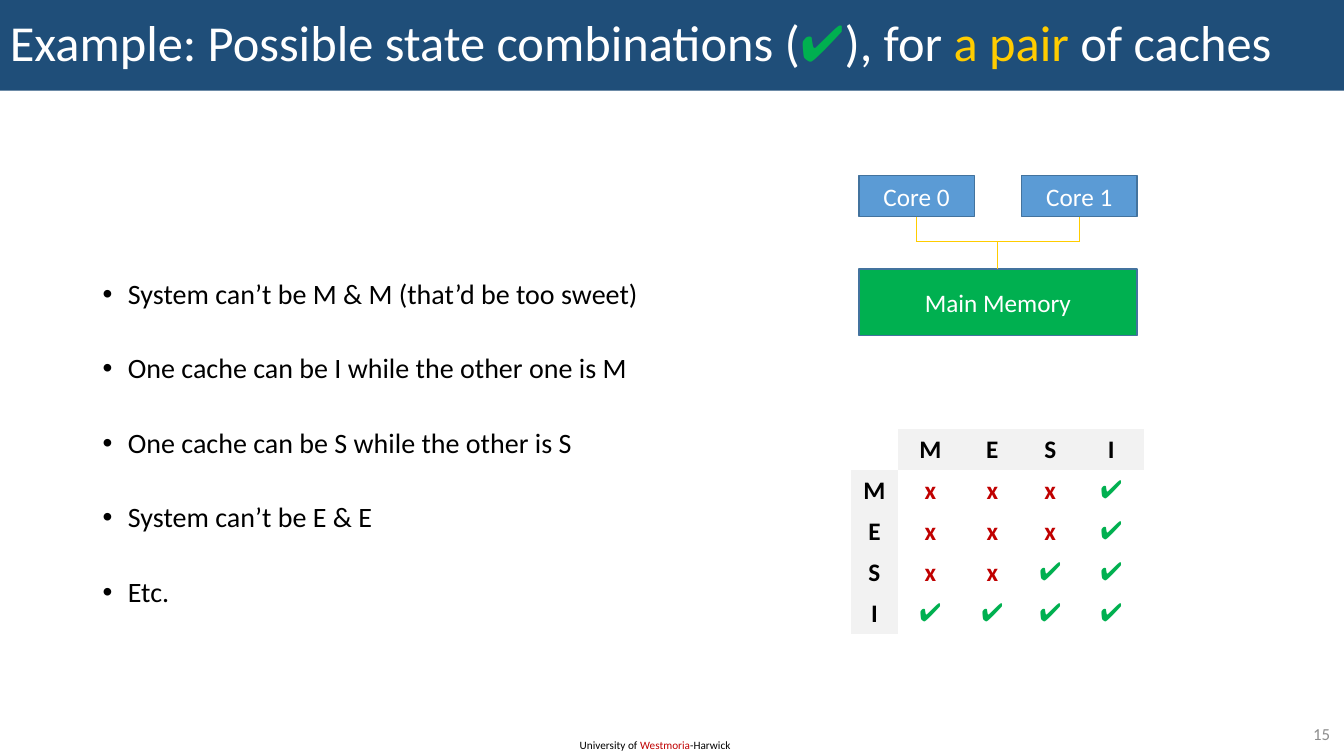
from pptx import Presentation
from pptx.dml.color import RGBColor
from pptx.enum.shapes import MSO_CONNECTOR, MSO_SHAPE
from pptx.enum.text import MSO_ANCHOR, PP_ALIGN
from pptx.oxml.ns import qn
from pptx.util import Inches, Pt
from lxml import etree

RECT = MSO_SHAPE.RECTANGLE
LINE = MSO_CONNECTOR.STRAIGHT
MID, TOP = MSO_ANCHOR.MIDDLE, MSO_ANCHOR.TOP
LEFT, MIDDLE, RIGHT = PP_ALIGN.LEFT, PP_ALIGN.CENTER, PP_ALIGN.RIGHT

NAVY = RGBColor(0x1F, 0x4E, 0x79)
BLUE = RGBColor(0x5B, 0x9B, 0xD5)
EDGE = RGBColor(0x43, 0x73, 0x9E)
GREEN = RGBColor(0x00, 0xB0, 0x50)
GOLD = RGBColor(0xFF, 0xCC, 0x00)
RED = RGBColor(0xC0, 0x00, 0x00)
GRAY = RGBColor(0x8C, 0x8C, 0x8C)
PALE = RGBColor(0xF2, 0xF2, 0xF2)
WHITE = RGBColor(0xFF, 0xFF, 0xFF)
BLACK = RGBColor(0x00, 0x00, 0x00)

WIDE, HIGH = Inches(13.33), Inches(7.5)
SANS, MARK = "Calibri", "Roboto"
PLAIN = "{2D5ABB26-0587-4C30-8999-92F81FD0307C}"  # table style without lines
TICK = "✔"
STATES = "MESI"
GRID = ["xxx✔", "xxx✔", "xx✔✔", "✔✔✔✔"]
COLS = [47, 64, 59, 56, 65]
POINTS = [
    "System can’t be M & M (that’d be too sweet)",
    "One cache can be I while the other one is M",
    "One cache can be S while the other is S",
    "System can’t be E & E",
    "Etc.",
]


def share(x, y, w, h):
    """Box from percentages of the slide."""
    return [int(part * whole / 100)
            for part, whole in zip((x, y, w, h), (WIDE, HIGH, WIDE, HIGH))]


def inner(box, x, y, w, h):
    """Box from fractions of another box."""
    left, top, wide, high = box
    return [int(n) for n in
            (left + x * wide, top + y * high, w * wide, h * high)]


def apply(item, **values):
    for name, value in values.items():
        setattr(item, name, value)


def write(par, runs, size, align=LEFT, bold=False):
    """Fill a paragraph with (text, colour) runs."""
    par.alignment = align
    for text, color in runs:
        run = par.add_run()
        run.text = text
        tick = text == TICK
        apply(run.font, size=Pt(size), name=MARK if tick else SANS,
              bold=bold and not tick)
        run.font.color.rgb = color


def label(slide, box, runs, size, align=LEFT, anchor=TOP):
    frame = slide.shapes.add_textbox(*box).text_frame
    apply(frame, word_wrap=True, vertical_anchor=anchor)
    write(frame.paragraphs[0], runs, size, align)


def block(slide, box, fill, runs, size, align=MIDDLE, edge=None):
    shape = slide.shapes.add_shape(RECT, *box)
    shape.shadow.inherit = False
    shape.fill.solid()
    shape.fill.fore_color.rgb = fill
    if edge is None:
        shape.line.fill.background()
    else:
        shape.line.color.rgb = edge
        shape.line.width = Pt(1)
    apply(shape.text_frame, word_wrap=True, vertical_anchor=MID)
    write(shape.text_frame.paragraphs[0], runs, size, align)
    return shape


def wire(slide, x1, y1, x2, y2):
    link = slide.shapes.add_connector(LINE, *map(int, (x1, y1, x2, y2)))
    link.line.color.rgb = GOLD
    link.line.width = Pt(0.75)
    etree.SubElement(link._element.spPr, qn("a:effectLst"))
    # Only the line format set here applies
    link._element.remove(link._element.find(qn("p:style")))
    return link


def title(slide, box):
    runs = [("Example: Possible state combinations (", WHITE), (TICK, GREEN),
            ("), for ", WHITE), ("a pair", GOLD), (" of caches", WHITE)]
    bar = block(slide, box, NAVY, runs, 36, LEFT)
    bar.text_frame.paragraphs[0].line_spacing = 0.9


def bullets(slide, box):
    frame = slide.shapes.add_textbox(*box).text_frame
    apply(frame, word_wrap=True, margin_top=Inches(0.82))
    for i, text in enumerate(POINTS):
        par = frame.add_paragraph() if i else frame.paragraphs[0]
        write(par, [(text, BLACK)], 20)
        apply(par, line_spacing=0.9, space_before=Pt(31.6 if i else 0))
        props = par._p.get_or_add_pPr()
        props.set("marL", str(Inches(0.75)))
        props.set("indent", str(-Inches(0.25)))
        etree.SubElement(props, qn("a:buFont"), typeface="Arial")
        etree.SubElement(props, qn("a:buChar"), char="•")


def diagram(slide, box):
    left, top, wide, high = box
    bus = top + 0.415 * high
    memory = block(slide, inner(box, 0, 0.585, 1, 0.415), GREEN,
                   [("Main Memory", WHITE)], 18, edge=EDGE)
    # Cores, each dropping to the bus
    ends = []
    for i in range(2):
        core = block(slide, inner(box, i * 0.585, 0, 0.415, 0.258), BLUE,
                     [(f"Core {i}", WHITE)], 18, edge=EDGE)
        x = core.left + core.width / 2
        wire(slide, x, top, x, bus).begin_connect(core, 2)
        ends.append(x)
    # Bus and its link to memory
    wire(slide, ends[0], bus, ends[1], bus)
    x = left + wide / 2
    wire(slide, x, bus, x, memory.top).end_connect(memory, 0)


def matrix(slide, box):
    count = len(STATES) + 1
    table = slide.shapes.add_table(count, count, *box).table
    apply(table, first_row=False, horz_banding=False)
    table._tbl.tblPr.find(qn("a:tableStyleId")).text = PLAIN
    for col, part in zip(table.columns, COLS):
        col.width = int(box[2] * part / sum(COLS))
    rows = [" " + STATES] + [s + row for s, row in zip(STATES, GRID)]
    tints = {"x": RED, TICK: GREEN}
    for r, row in enumerate(rows):
        table.rows[r].height = box[3] // count
        for c, text in enumerate(row):
            cell = table.cell(r, c)
            if r and c:
                cell.fill.background()
            else:
                cell.fill.solid()
                cell.fill.fore_color.rgb = PALE if r or c else WHITE
            if text.strip():
                write(cell.text_frame.paragraphs[0],
                      [(text, tints.get(text, BLACK))], 18, MIDDLE, True)


def footer(slide, name, number):
    label(slide, name, [("University of ", BLACK), ("Westmoria", RED),
                        ("-Harwick", BLACK)], 8)
    label(slide, number, [("15", GRAY)], 12, RIGHT, MID)


def main():
    deck = Presentation()
    apply(deck, slide_width=WIDE, slide_height=HIGH)
    slide = deck.slides.add_slide(deck.slide_layouts[6])
    title(slide, share(0, 0, 100, 12))
    bullets(slide, share(3.15, 26.13, 46.2, 66))
    diagram(slide, share(63.9, 23.2, 20.7, 21.2))
    matrix(slide, share(63.3, 56.8, 21.83, 27.07))
    footer(slide, share(42.4, 97.07, 12.9, 3.2), share(94, 95.07, 5.7, 3.87))
    deck.save("out.pptx")


if __name__ == "__main__":
    main()
